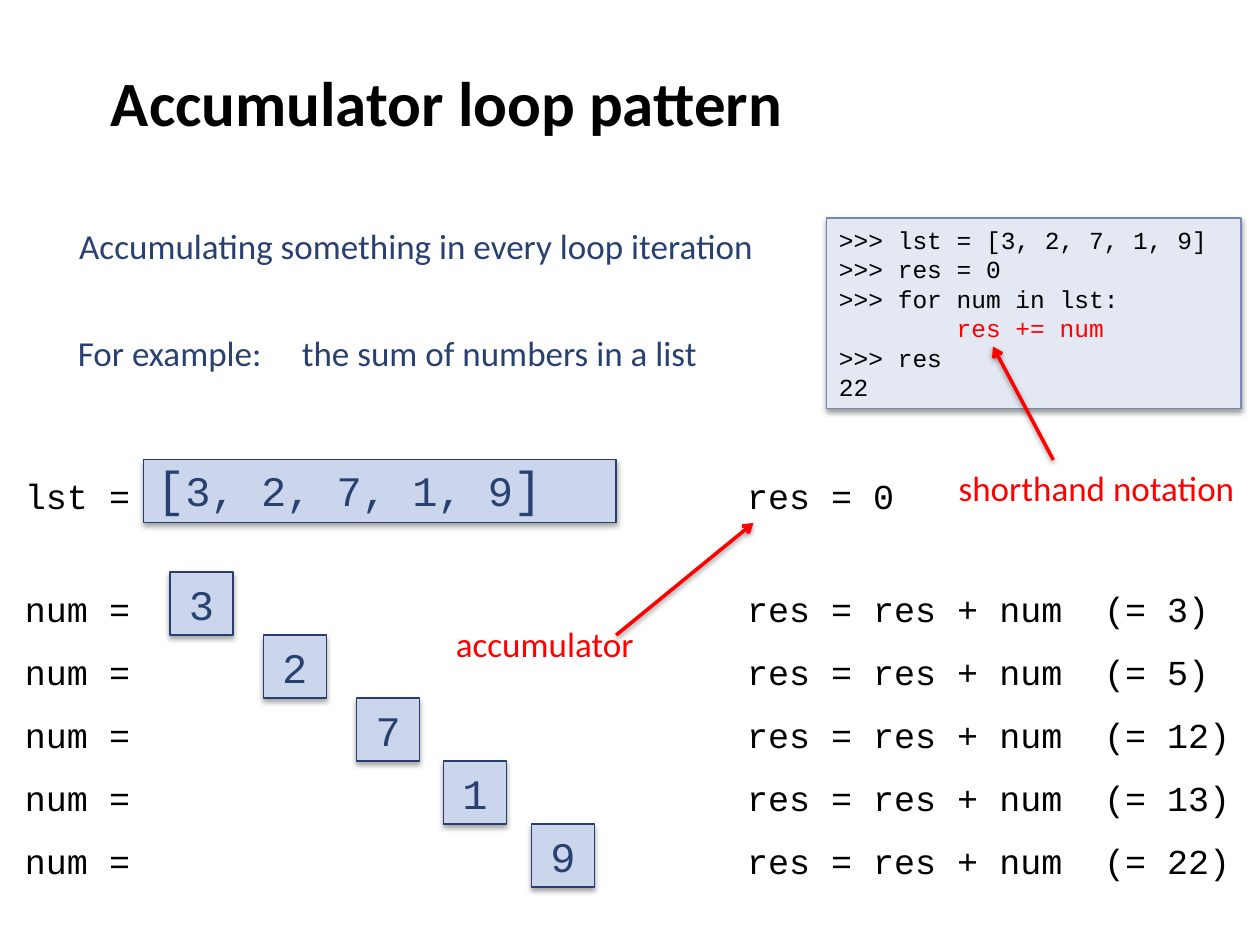
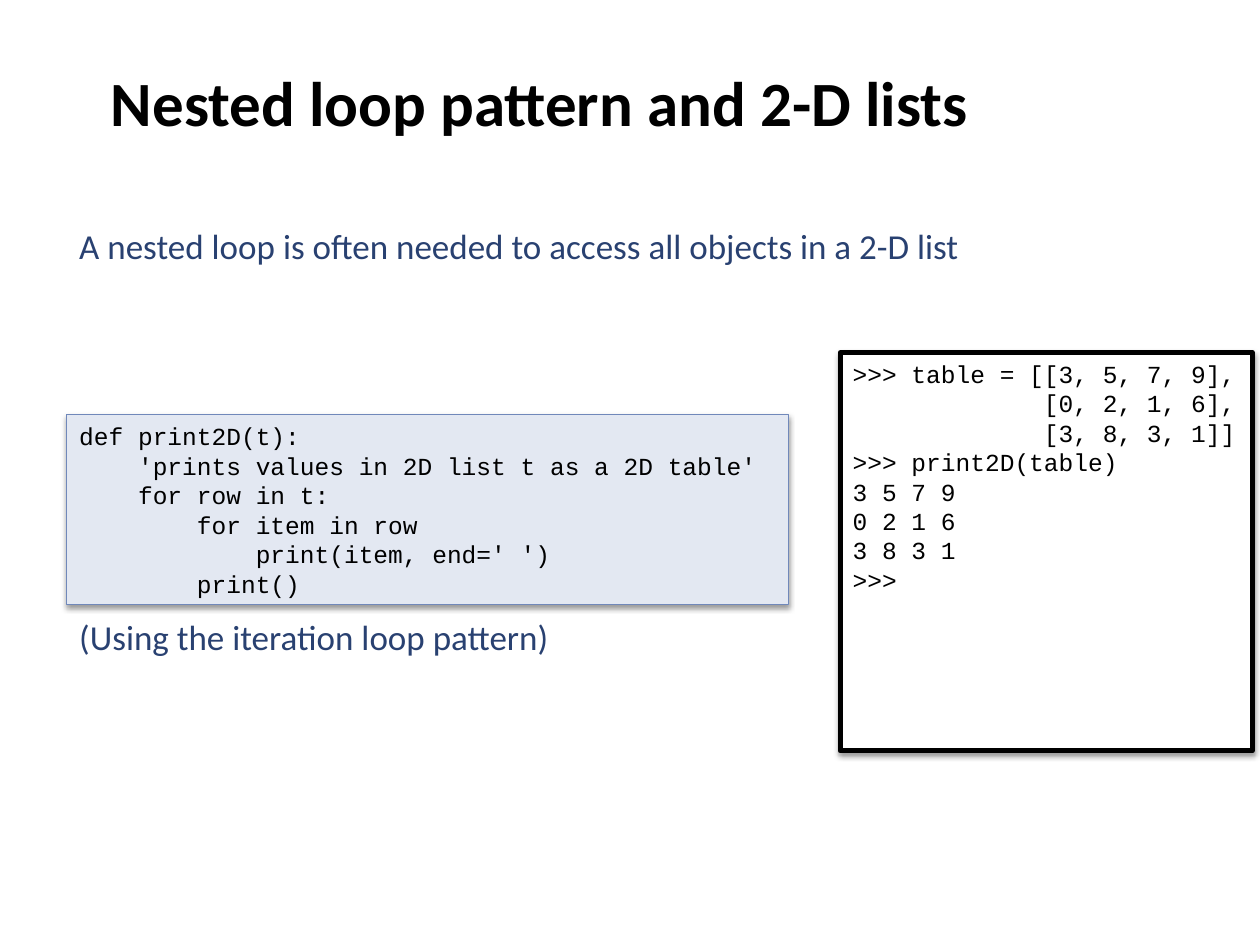
from lxml.etree import SubElement
from pptx import Presentation
from pptx.dml.color import RGBColor
from pptx.enum.shapes import MSO_CONNECTOR, MSO_SHAPE
from pptx.enum.text import MSO_ANCHOR, MSO_AUTO_SIZE, PP_ALIGN
from pptx.oxml.ns import qn
from pptx.util import Pt

rgb = RGBColor.from_string
SANS, MONO = "Calibri", "Courier New"
BLACK, NAVY, RED, WHITE = "000000", "294171", "FF0000", "FFFFFF"
VALUE_STYLE = ("CBD6EC", "263F70", 0.75)
CODE_STYLE = ("E3E8F2", "7088BA", 0.75)
TERMINAL_STYLE = (WHITE, BLACK, 3)
CODE_PITCH = 16.8


def add_shadow(shape, opacity=38, dist=1.6):
    effects = SubElement(shape._element.spPr, qn("a:effectLst"))
    outer = SubElement(effects, qn("a:outerShdw"), blurRad=str(Pt(3.1)),
                       dist=str(Pt(dist)), dir="5400000", rotWithShape="0")
    color = SubElement(outer, qn("a:srgbClr"), val=BLACK)
    SubElement(color, qn("a:alpha"), val=str(opacity * 1000))


def add_text(s, text, x, y, w, h=31.7, font=SANS, size=20, color=NAVY,
             style=None, wrap=True, tab=None):
    """Add a text box, or a filled box if style gives fill, line and width."""
    box = [Pt(v) for v in (x, y, w, h)]
    if style:
        fill, line, width = style
        sp = s.shapes.add_shape(MSO_SHAPE.RECTANGLE, *box)
        sp.fill.solid()
        sp.fill.fore_color.rgb = rgb(fill)
        sp.line.color.rgb = rgb(line)
        sp.line.width = Pt(width)
        if style == VALUE_STYLE:
            add_shadow(sp, 35, 1.8)
        else:
            add_shadow(sp)
    else:
        sp = s.shapes.add_textbox(*box)
    tf = sp.text_frame
    tf.word_wrap = wrap
    tf.vertical_anchor = MSO_ANCHOR.MIDDLE
    tf.text = text
    for p in tf.paragraphs:
        p.alignment = PP_ALIGN.LEFT
        if tab:
            tabs = SubElement(p._p.get_or_add_pPr(), qn("a:tabLst"))
            SubElement(tabs, qn("a:tab"), pos=str(Pt(tab)), algn="l")
        for r in p.runs:
            r.font.name = font
            r.font.size = Pt(size)
            r.font.color.rgb = rgb(color)
    return sp


prs = Presentation()
prs.slide_width, prs.slide_height = Pt(720), Pt(540)

# Titles
slides = []
for title in ("Accumulator loop pattern", "Nested loop pattern and 2-D lists"):
    s = prs.slides.add_slide(prs.slide_layouts[5])
    sp = s.shapes.title
    sp.left, sp.top, sp.width, sp.height = Pt(56.2), Pt(0), Pt(612), Pt(116)
    tf = sp.text_frame
    tf.text = title
    tf.auto_size = MSO_AUTO_SIZE.NONE
    tf.vertical_anchor = MSO_ANCHOR.MIDDLE
    p = tf.paragraphs[0]
    p.alignment = PP_ALIGN.LEFT
    font = p.runs[0].font
    font.name, font.size, font.bold = SANS, Pt(36), True
    font.color.rgb = rgb(BLACK)
    slides.append(s)
accumulator, nested = slides

# Slide 1: accumulator loop
s = accumulator
add_text(s, "Accumulating something in every loop iteration", 38.2, 124.6, 643)
add_text(s, "For example:\tthe sum of numbers in a list", 37.4, 185.8, 404.6, tab=128)

add_text(s, "lst =", 7.2, 267.1, 74.9, font=MONO, color=BLACK, wrap=False)
add_text(s, "res = 0", 419.8, 267.1, 160, font=MONO, color=BLACK)
sp = add_text(s, "[", 82.1, 262.8, 270, 36, MONO, 28, style=VALUE_STYLE)
sp.text_frame.vertical_anchor = MSO_ANCHOR.BOTTOM
for text, size in (("3, 2, 7, 1, 9", 24), ("]", 28)):
    r = sp.text_frame.paragraphs[0].add_run()
    r.text = text
    r.font.name, r.font.size = MONO, Pt(size)
    r.font.color.rgb = rgb(NAVY)

# One row for each iteration, with the running sum
total = 0
value_lefts = (97.2, 150.5, 203.8, 253.4, 303.8)
for i, (num, left) in enumerate(zip((3, 2, 7, 1, 9), value_lefts)):
    total += num
    top = 331.9 + 36 * i
    add_text(s, "num =", 7.2, top, 74.9, font=MONO, color=BLACK, wrap=False)
    sp = add_text(s, str(num), left, top - 5, 36, 36, MONO, 24, style=VALUE_STYLE)
    sp.text_frame.paragraphs[0].alignment = PP_ALIGN.CENTER
    add_text(s, f"res = res + num\t(= {total})", 419.8, top, 333,
             font=MONO, color=BLACK, tab=204)

loop_code = """>>> lst = [3, 2, 7, 1, 9]
>>> res = 0
>>> for num in lst:
        res += num
>>> res
22"""
sp = add_text(s, loop_code, 472.3, 124.6, 236.9, 108.7, MONO, 14, BLACK, CODE_STYLE)
for p in sp.text_frame.paragraphs:
    p.line_spacing = Pt(CODE_PITCH)
sp.text_frame.paragraphs[3].runs[0].font.color.rgb = rgb(RED)

add_text(s, "accumulator", 253.4, 352.1, 117.4, color=RED, wrap=False)
add_text(s, "shorthand notation", 540.7, 262.8, 173.5, color=RED, wrap=False)
for ends in ((352.1, 362.9, 430.6, 298.8), (601.9, 262.8, 567.4, 198)):
    arrow = s.shapes.add_connector(MSO_CONNECTOR.STRAIGHT, *[Pt(v) for v in ends])
    arrow.line.color.rgb = rgb(RED)
    arrow.line.width = Pt(2)
    SubElement(arrow.line._get_or_add_ln(), qn("a:tailEnd"), type="arrow")
    add_shadow(arrow)

# Slide 2: nested loop
s = nested
add_text(s, "A nested loop is often needed to access all objects in a 2-D list",
         38.2, 124.6, 645)
add_text(s, "(Using the iteration loop pattern)", 38.2, 347.8, 288)

function_code = """def print2D(t):
    'prints values in 2D list t as a 2D table'
    for row in t:
        for item in row
            print(item, end=' ')
        print()"""
session = """>>> table = [[3, 5, 7, 9],
             [0, 2, 1, 6],
             [3, 8, 3, 1]]
>>> print2D(table)
3 5 7 9
0 2 1 6
3 8 3 1
>>>"""
function_box = add_text(s, function_code, 38.2, 236.9, 412.6, 108.7,
                        MONO, 14, BLACK, CODE_STYLE)
terminal = add_text(s, session, 480.2, 201.6, 235.4, 227.5,
                    MONO, 14, BLACK, TERMINAL_STYLE)
terminal.text_frame.vertical_anchor = MSO_ANCHOR.TOP
for sp in (function_box, terminal):
    for p in sp.text_frame.paragraphs:
        p.line_spacing = Pt(CODE_PITCH)

prs.save("out.pptx")
